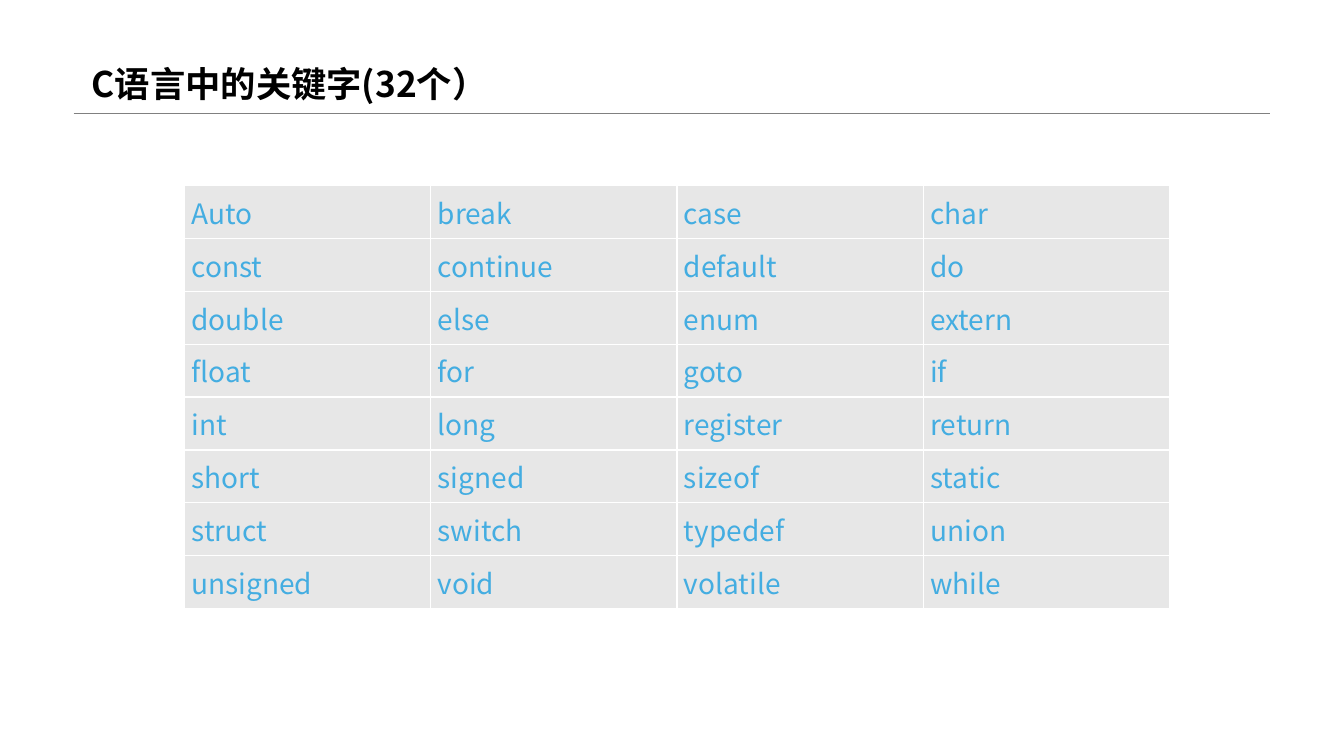
from lxml import etree
from pptx import Presentation
from pptx.dml.color import RGBColor
from pptx.enum.shapes import MSO_CONNECTOR
from pptx.enum.text import MSO_ANCHOR, MSO_AUTO_SIZE, PP_ALIGN
from pptx.oxml.ns import qn
from pptx.util import Inches, Pt

STRAIGHT = MSO_CONNECTOR.STRAIGHT
MIDDLE, BOTTOM = MSO_ANCHOR.MIDDLE, MSO_ANCHOR.BOTTOM
NO_AUTOFIT = MSO_AUTO_SIZE.NONE
LEFT, JUSTIFY = PP_ALIGN.LEFT, PP_ALIGN.JUSTIFY

BLACK = RGBColor(0x00, 0x00, 0x00)
WHITE = RGBColor(0xFF, 0xFF, 0xFF)
RULE_GRAY = RGBColor(0x80, 0x80, 0x80)
CELL_GRAY = RGBColor(0xE7, 0xE7, 0xE7)
KEYWORD_BLUE = RGBColor(0x44, 0xAD, 0xE1)
FONT = "Noto Sans CJK SC"

KEYWORDS = """
Auto break case char
const continue default do
double else enum extern
float for goto if
int long register return
short signed sizeof static
struct switch typedef union
unsigned void volatile while
"""


def style(paragraph, size, color, bold=False):
    font = paragraph.font
    font.name, font.size, font.bold = FONT, Pt(size), bold
    font.color.rgb = color
    # East Asian characters take their own typeface element
    defaults = paragraph._p.pPr.find(qn("a:defRPr"))
    etree.SubElement(defaults, qn("a:ea"), typeface=FONT)


def add_heading(slide, left, top, width, height):
    # Title, resting on the rule below it
    title = slide.shapes.title
    title.left, title.top = Inches(left), Inches(top)
    title.width, title.height = Inches(width), Inches(height)
    frame = title.text_frame
    frame.text = "C语言中的关键字(32个）"
    frame.word_wrap = True
    frame.auto_size = NO_AUTOFIT
    frame.vertical_anchor = BOTTOM
    heading = frame.paragraphs[0]
    heading.alignment = LEFT
    heading.line_spacing = 1.2
    style(heading, 25.2, BLACK, bold=True)


def add_rule(slide, left, top, width):
    y = Inches(top)
    rule = slide.shapes.add_connector(STRAIGHT, Inches(left), y, Inches(left + width), y)
    rule.line.color.rgb = RULE_GRAY
    rule.line.width = Pt(0.25)
    etree.SubElement(rule._element.spPr, qn("a:effectLst"))


def add_borders(cell):
    properties = cell._tc.get_or_add_tcPr()
    for position, side in enumerate(("lnL", "lnR", "lnT", "lnB")):
        border = etree.Element(qn(f"a:{side}"), w=str(Pt(1)))
        fill = etree.SubElement(border, qn("a:solidFill"))
        etree.SubElement(fill, qn("a:srgbClr"), val=str(WHITE))
        properties.insert(position, border)


def add_keyword_table(slide, left, top, width, height):
    rows = [line.split() for line in KEYWORDS.strip().splitlines()]
    table = slide.shapes.add_table(
        len(rows), len(rows[0]),
        Inches(left), Inches(top), Inches(width), Inches(height),
    ).table
    table.first_row = table.horz_banding = False
    for r, row in enumerate(rows):
        for c, keyword in enumerate(row):
            cell = table.cell(r, c)
            cell.text = keyword
            cell.vertical_anchor = MIDDLE
            cell.margin_left = cell.margin_right = Inches(0.07)
            cell.margin_top = cell.margin_bottom = 0
            cell.fill.solid()
            cell.fill.fore_color.rgb = CELL_GRAY
            add_borders(cell)
            paragraph = cell.text_frame.paragraphs[0]
            paragraph.alignment = JUSTIFY
            style(paragraph, 20, KEYWORD_BLUE)


def main():
    deck = Presentation()
    deck.slide_width, deck.slide_height = Inches(13.33), Inches(7.5)
    slide = deck.slides.add_slide(deck.slide_layouts[5])
    add_rule(slide, 0.73, 1.12, 11.87)
    add_heading(slide, 0.81, 0.12, 4.13, 0.97)
    add_keyword_table(slide, 1.83, 1.84, 9.77, 4.2)
    deck.save("out.pptx")


if __name__ == "__main__":
    main()
